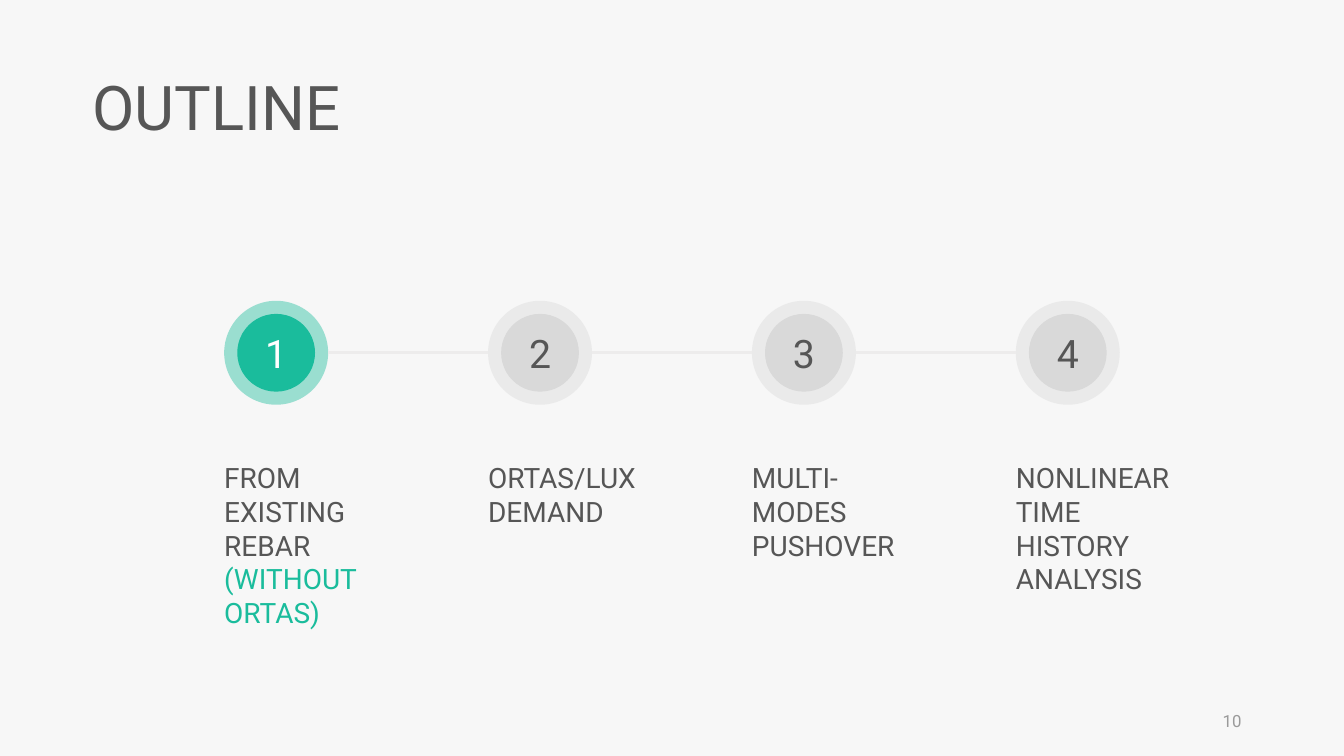
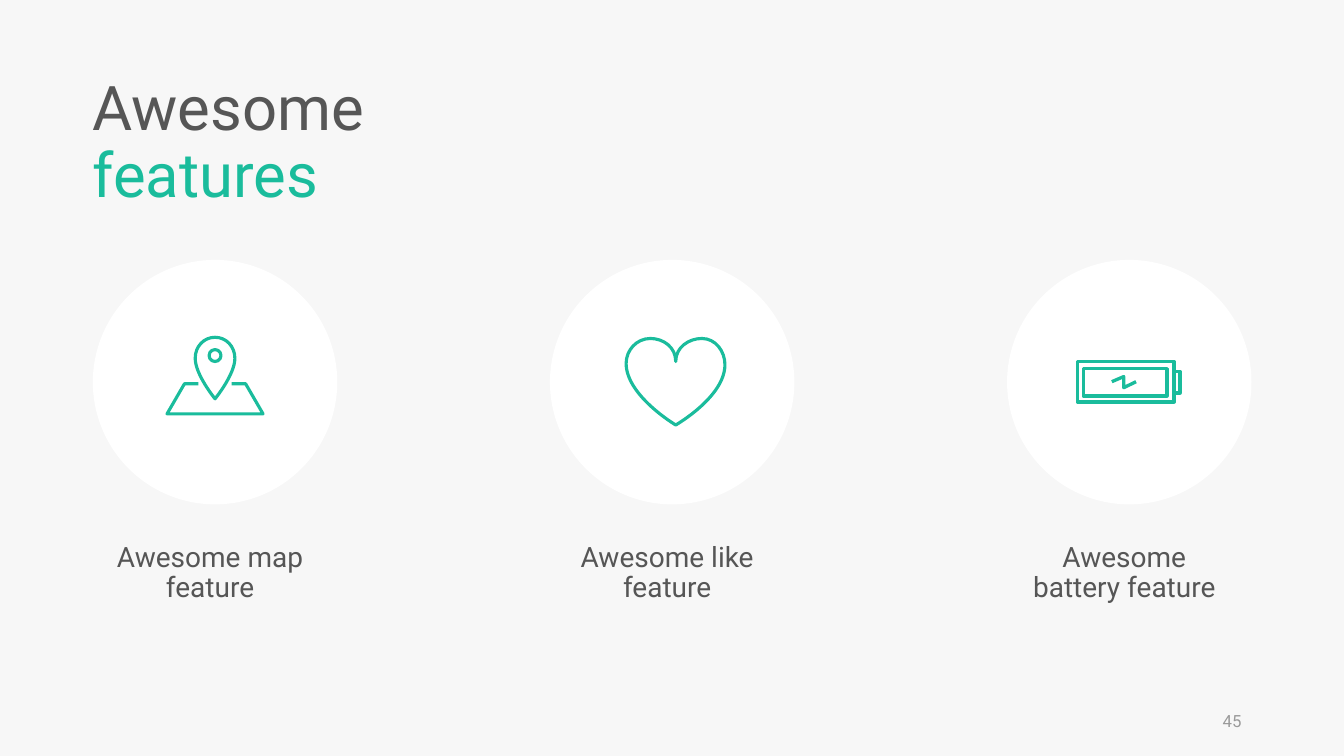
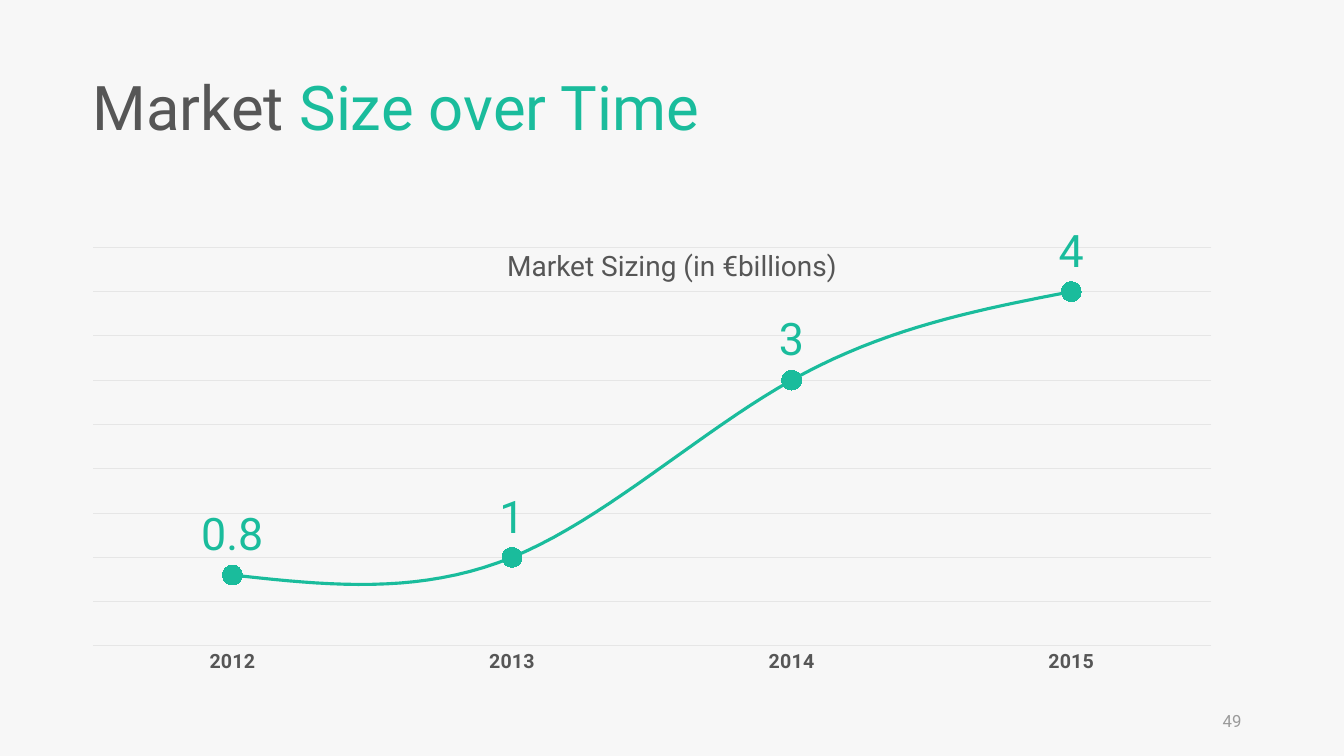
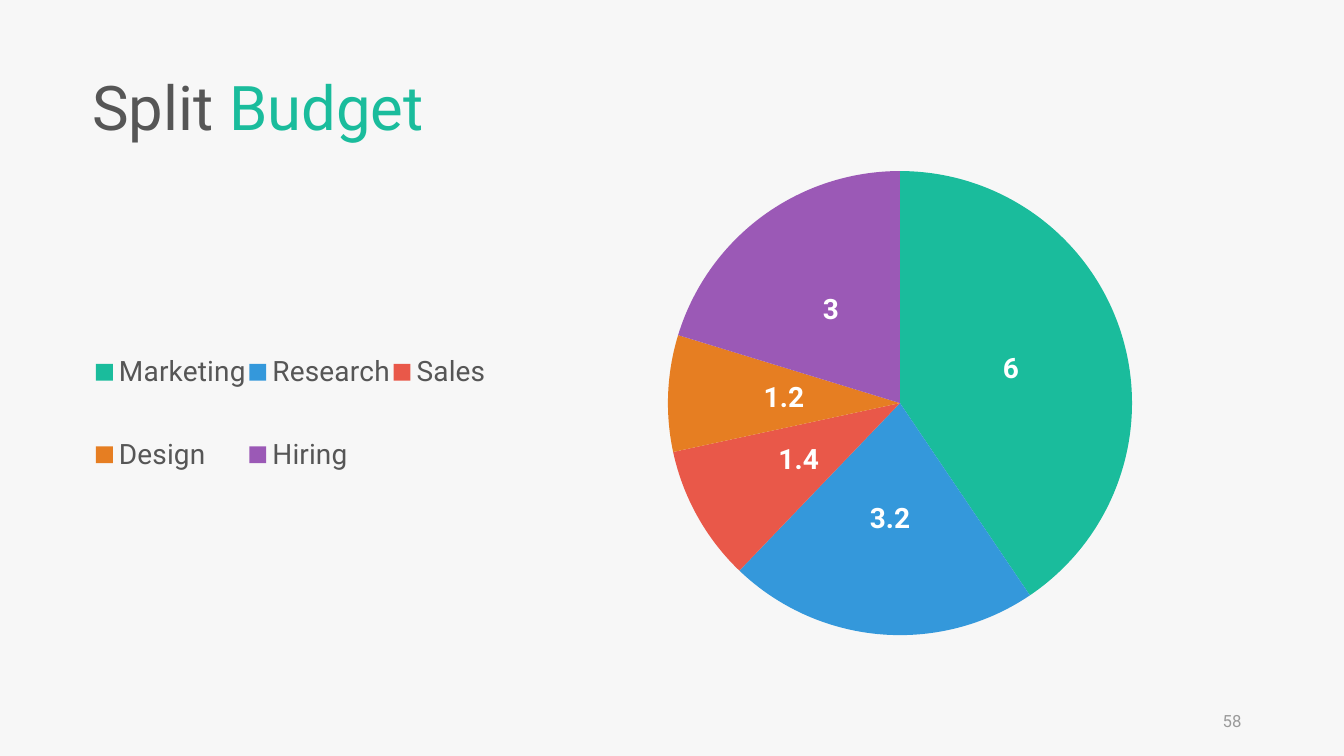
from dataclasses import dataclass
from typing import Any

from lxml import etree
from pptx import Presentation
from pptx.chart.data import CategoryChartData
from pptx.dml.color import RGBColor
from pptx.enum.chart import (XL_CHART_TYPE, XL_LABEL_POSITION, XL_LEGEND_POSITION,
                             XL_MARKER_STYLE, XL_TICK_MARK)
from pptx.enum.shapes import MSO_CONNECTOR, MSO_SHAPE
from pptx.enum.text import MSO_ANCHOR, MSO_AUTO_SIZE, PP_ALIGN
from pptx.oxml.ns import qn
from pptx.util import Cm, Pt

OVAL, RECTANGLE = MSO_SHAPE.OVAL, MSO_SHAPE.RECTANGLE
STRAIGHT = MSO_CONNECTOR.STRAIGHT
LEFT, CENTER, RIGHT = PP_ALIGN.LEFT, PP_ALIGN.CENTER, PP_ALIGN.RIGHT
TOP, MIDDLE = MSO_ANCHOR.TOP, MSO_ANCHOR.MIDDLE
NO_AUTOFIT = MSO_AUTO_SIZE.NONE
LINE_CHART, PIE_CHART = XL_CHART_TYPE.LINE_MARKERS, XL_CHART_TYPE.PIE
LABEL_ABOVE, LABEL_CENTER = XL_LABEL_POSITION.ABOVE, XL_LABEL_POSITION.CENTER
LEGEND_BOTTOM = XL_LEGEND_POSITION.BOTTOM
ROUND_MARKER, NO_TICK = XL_MARKER_STYLE.CIRCLE, XL_TICK_MARK.NONE
TITLE_ONLY = 5


@dataclass(frozen=True)
class Theme:
    font: str = "Roboto"
    page: str = "F7F7F7"
    text: str = "565656"
    accent: str = "1ABC9C"
    idle: str = "D9D9D9"
    white: str = "FFFFFF"
    footer: str = "9A9A9A"
    joint: str = "EDECEC"
    grid: str = "E6E6E6"
    slices: tuple[str, ...] = ("1ABC9C", "3498DB", "E95849", "E67E22", "9B59B6")
    title_size: float = 44
    value_size: float = 32
    number_size: float = 28
    body_size: float = 20
    axis_size: float = 14
    footer_size: float = 12
    chart_size: float = 10
    stroke: float = 2.25
    hairline: float = 0.75


THEME = Theme()
FLUSH_LEFT = {"margin_left": 0}


@dataclass(frozen=True)
class Area:
    """A rectangle in centimetres."""
    left: float
    top: float
    width: float
    height: float

    def lengths(self) -> tuple[Cm, ...]:
        return tuple(Cm(v) for v in (self.left, self.top, self.width, self.height))


@dataclass(frozen=True)
class Span:
    text: str
    color: str = THEME.text


@dataclass(frozen=True)
class Step:
    spans: tuple[Span, ...]
    lines: int
    active: bool = False


@dataclass(frozen=True)
class Outline:
    """A preset shape, placed from the centre of its icon."""
    kind: Any
    area: Area


@dataclass(frozen=True)
class Stroke:
    """A polyline, or a chain of cubic curves, placed from the icon centre."""
    points: tuple[tuple[float, float], ...]
    closed: bool = False
    curved: bool = False


@dataclass(frozen=True)
class Feature:
    caption: str
    icon: tuple[Outline | Stroke, ...]
    weight: float = THEME.stroke


STEPS = (
    Step((Span("FROM EXISTING REBAR "), Span("(WITHOUT ORTAS)", THEME.accent)), 5, True),
    Step((Span("ORTAS/LUX DEMAND"),), 2),
    Step((Span("MULTI-MODES PUSHOVER"),), 3),
    Step((Span("NONLINEAR TIME HISTORY ANALYSIS"),), 4),
)

MAP_ICON = (
    Outline(OVAL, Area(-0.15, -0.82, 0.3, 0.3)),
    Stroke(((0.5, -0.6), (0.5, -0.9), (0.28, -1.13), (0, -1.13),
            (-0.28, -1.13), (-0.5, -0.9), (-0.5, -0.6),
            (-0.5, -0.19), (0, 0.42), (0, 0.42),
            (0, 0.42), (0.5, -0.19), (0.5, -0.6)), closed=True, curved=True),
    Stroke(((-0.42, 0.04), (-0.77, 0.04), (-1.21, 0.8), (0, 0.8),
            (1.21, 0.8), (0.77, 0.04), (0.42, 0.04))),
)
HEART_ICON = (
    Stroke(((-1.16, -0.47), (-1.16, 0.34), (0.09, 1.08), (0.09, 1.08),
            (0.09, 1.08), (1.33, 0.37), (1.33, -0.44),
            (1.33, -0.77), (1.1, -1.1), (0.75, -1.1),
            (0.42, -1.1), (0.09, -0.88), (0.09, -0.52),
            (0.09, -0.88), (-0.22, -1.1), (-0.55, -1.1),
            (-0.9, -1.1), (-1.16, -0.8), (-1.16, -0.47)), closed=True, curved=True),
)
BATTERY_ICON = (
    Outline(RECTANGLE, Area(-1.31, -0.52, 2.44, 1.02)),
    Stroke(((1.13, -0.27), (1.28, -0.27), (1.28, 0.27), (1.13, 0.27))),
    Outline(RECTANGLE, Area(-1.16, -0.34, 2.11, 0.69)),
    Stroke(((-0.44, -0.01), (-0.14, -0.14), (-0.14, 0.14), (0.17, -0.01))),
)
FEATURES = (
    Feature("Awesome map feature", MAP_ICON),
    Feature("Awesome like feature", HEART_ICON),
    Feature("Awesome battery feature", BATTERY_ICON, 2.38),
)


def assign(target: Any, values: dict[str, Any]) -> None:
    for name, value in values.items():
        setattr(target, name, value)


def style_font(font: Any, size: float, color: str, bold: bool = False) -> None:
    assign(font, {"name": THEME.font, "size": Pt(size), "bold": bold})
    font.color.rgb = RGBColor.from_string(color)


def paint(fill: Any, color: str) -> None:
    fill.solid()
    fill.fore_color.rgb = RGBColor.from_string(color)


def style_line(line: Any, color: str, width: float) -> None:
    paint(line.fill, color)
    line.width = Pt(width)


def write(box: Any, spans: tuple[Span, ...], size: float, frame: dict[str, Any],
          para_format: dict[str, Any]) -> None:
    text_frame = box.text_frame
    assign(text_frame, {"word_wrap": True, "auto_size": NO_AUTOFIT,
                        "vertical_anchor": TOP} | frame)
    para = text_frame.paragraphs[0]
    assign(para, {"alignment": LEFT} | para_format)
    for span in spans:
        run = para.add_run()
        run.text = span.text
        style_font(run.font, size, span.color)


def add_text(page: Any, area: Area, spans: tuple[Span, ...], size: float,
             frame: dict[str, Any], para_format: dict[str, Any]) -> None:
    write(page.shapes.add_textbox(*area.lengths()), spans, size, frame, para_format)


def add_page(deck: Any, number: int, title: tuple[Span, ...], title_width: float = 12.45) -> Any:
    """Add a slide with its title and page number."""
    page = deck.slides.add_slide(deck.slide_layouts[TITLE_ONLY])
    box = page.shapes.title
    place = Area(2.33, 1.82, title_width, 1.96).lengths()
    assign(box, dict(zip(("left", "top", "width", "height"), place)))
    frame = {"margin_left": 0, "margin_top": Cm(0.13),
             "margin_right": Cm(0.25), "margin_bottom": Cm(0.13)}
    write(box, title, THEME.title_size, frame,
          {"line_spacing": 0.9, "space_before": Pt(10)})
    add_text(page, Area(23.92, 17.65, 7.62, 1.02), (Span(str(number), THEME.footer),),
             THEME.footer_size, {"vertical_anchor": MIDDLE}, {"alignment": RIGHT})
    return page


def add_disc(shapes: Any, area: Area, color: str, opacity: int = 100) -> Any:
    disc = shapes.add_shape(OVAL, *area.lengths())
    disc.shadow.inherit = False
    paint(disc.fill, color)
    disc.line.fill.background()
    if opacity < 100:
        tint = disc.fill._xPr.find(qn("a:solidFill"))[0]
        etree.SubElement(tint, qn("a:alpha"), val=str(opacity * 1000))
    return disc


def add_joint(page: Any, start: float, end: float, height: float) -> None:
    joint = page.shapes.add_connector(STRAIGHT, Cm(start), Cm(height), Cm(end), Cm(height))
    style_line(joint.line, THEME.joint, THEME.stroke)
    etree.SubElement(joint._element.spPr, qn("a:effectLst"))


def bend(shape: Any) -> None:
    """Turn each three straight segments of a freeform into one cubic curve."""
    segments = list(shape._element.iter(qn("a:lnTo")))
    for first in range(0, len(segments), 3):
        curve = etree.Element(qn("a:cubicBezTo"))
        segments[first].addprevious(curve)
        for segment in segments[first:first + 3]:
            curve.append(segment[0])
            segment.getparent().remove(segment)


def add_icon(page: Any, feature: Feature, center_x: float, center_y: float) -> None:
    shapes = page.shapes if len(feature.icon) == 1 else page.shapes.add_group_shape().shapes
    for part in feature.icon:
        if isinstance(part, Outline):
            area = part.area
            moved = Area(center_x + area.left, center_y + area.top, area.width, area.height)
            shape = shapes.add_shape(part.kind, *moved.lengths())
        else:
            start, *rest = [(Cm(center_x + x), Cm(center_y + y)) for x, y in part.points]
            builder = shapes.build_freeform(*start)
            builder.add_line_segments(rest, close=part.closed)
            shape = builder.convert_to_shape()
            if part.curved:
                bend(shape)
        shape.shadow.inherit = False
        shape.fill.background()
        style_line(shape.line, THEME.accent, feature.weight)


def set_layout(parent: Any, index: int, inner: bool,
               x: float, y: float, w: float, h: float) -> None:
    """Place a plot area or legend by fractions of its chart."""
    for old in parent.findall(qn("c:layout")):
        parent.remove(old)
    layout = etree.Element(qn("c:layout"))
    manual = etree.SubElement(layout, qn("c:manualLayout"))
    values = {"layoutTarget": "inner"} if inner else {}
    values |= {"xMode": "edge", "yMode": "edge", "x": x, "y": y, "w": w, "h": h}
    for name, value in values.items():
        etree.SubElement(manual, qn(f"c:{name}"), val=str(value))
    parent.insert(index, layout)


def add_chart(page: Any, kind: Any, area: Area, values: dict[str, float],
              plot_layout: tuple[float, ...]) -> Any:
    data = CategoryChartData()
    data.categories = list(values)
    data.add_series("Series 1", list(values.values()))
    chart = page.shapes.add_chart(kind, *area.lengths(), data).chart
    assign(chart, {"has_title": False, "has_legend": False})
    style_font(chart.font, THEME.chart_size, THEME.text)
    set_layout(chart._chartSpace.chart.plotArea, 0, True, *plot_layout)
    return chart


def add_labels(series: Any, position: Any, size: float, color: str, bold: bool = False) -> None:
    assign(series.data_labels, {"show_value": True, "position": position})
    style_font(series.data_labels.font, size, color, bold)


def build_outline(deck: Any) -> None:
    page = add_page(deck, 10, (Span("OUTLINE"),))
    first, pitch, top, ring, inset = 5.65, 6.65, 7.58, 2.62, 0.33
    core = ring - 2 * inset
    for index, step in enumerate(STEPS):
        left = first + index * pitch
        color = THEME.accent if step.active else THEME.idle
        shapes = page.shapes.add_group_shape().shapes
        add_disc(shapes, Area(left + inset, top + inset, core, core), color)
        halo = add_disc(shapes, Area(left, top, ring, ring), color, 42)
        number = Span(str(index + 1), THEME.white if step.active else THEME.text)
        write(halo, (number,), THEME.number_size,
              {"vertical_anchor": MIDDLE}, {"alignment": CENTER})
        add_text(page, Area(left, 11.49, 4.29, 0.25 + 0.86 * step.lines), step.spans,
                 THEME.body_size, FLUSH_LEFT, {})
        if index:
            add_joint(page, left - pitch + ring, left, top + ring / 2)


def build_features(deck: Any) -> None:
    page = add_page(deck, 45, (Span("Awesome "), Span("features", THEME.accent)))
    first, pitch, top, size, inset = 2.34, 11.52, 6.55, 6.16, 0.28
    for index, feature in enumerate(FEATURES):
        left = first + index * pitch
        add_disc(page.shapes, Area(left, top, size, size), THEME.white)
        add_icon(page, feature, left + size / 2, top + size / 2)
        add_text(page, Area(left + inset, 13.56, size - 2 * inset, 1.8),
                 (Span(feature.caption),), THEME.body_size, FLUSH_LEFT,
                 {"alignment": CENTER, "line_spacing": 0.9})


def build_market(deck: Any) -> None:
    page = add_page(deck, 49, (Span("Market "), Span("Size over Time", THEME.accent)), 17.27)
    chart = add_chart(page, LINE_CHART, Area(1.75, 4.74, 29.21, 13.34),
                      {"2012": 0.8, "2013": 1, "2014": 3, "2015": 4},
                      (0.02, 0.112, 0.965, 0.753))
    chart.plots[0].vary_by_categories = False
    assign(chart.value_axis, {"minimum_scale": 0, "maximum_scale": 4.5, "major_unit": 0.5,
                              "has_major_gridlines": True, "visible": False})
    chart.category_axis.major_tick_mark = NO_TICK
    style_font(chart.category_axis.tick_labels.font, THEME.axis_size, THEME.text, True)
    for rule in (chart.value_axis.major_gridlines, chart.category_axis):
        style_line(rule.format.line, THEME.grid, THEME.hairline)

    series = chart.plots[0].series[0]
    series.smooth = True
    style_line(series.format.line, THEME.accent, THEME.stroke)
    assign(series.marker, {"style": ROUND_MARKER, "size": 14})
    paint(series.marker.format.fill, THEME.accent)
    series.marker.format.line.fill.background()
    add_labels(series, LABEL_ABOVE, THEME.value_size, THEME.accent)
    add_text(page, Area(10.87, 6.13, 12.14, 1.12), (Span("Market Sizing (in €billions)"),),
             THEME.body_size, {}, {"alignment": CENTER})


def build_budget(deck: Any) -> None:
    page = add_page(deck, 58, (Span("Split"), Span(" Budget", THEME.accent)))
    chart = add_chart(page, PIE_CHART, Area(2.33, 4.31, 31.53, 13.46),
                      {"Marketing": 6, "Research": 3.2, "Sales": 1.4,
                       "Design": 1.2, "Hiring": 3},
                      (0.46, 0, 0.371, 0.869))
    chart.plots[0].vary_by_categories = True
    series = chart.plots[0].series[0]
    for index, color in enumerate(THEME.slices):
        wedge = series.points[index].format
        paint(wedge.fill, color)
        wedge.line.fill.background()
    add_labels(series, LABEL_CENTER, THEME.body_size, THEME.white, True)

    chart.has_legend = True
    assign(chart.legend, {"position": LEGEND_BOTTOM, "include_in_layout": False})
    style_font(chart.legend.font, THEME.body_size, THEME.text)
    set_layout(chart.legend._element, 1, False, 0, 0.254, 0.317, 0.4)


def main() -> None:
    deck = Presentation()
    assign(deck, {"slide_width": Cm(33.87), "slide_height": Cm(19.05)})
    paint(deck.slide_master.background.fill, THEME.page)
    for build in (build_outline, build_features, build_market, build_budget):
        build(deck)
    deck.save("out.pptx")


if __name__ == "__main__":
    main()
